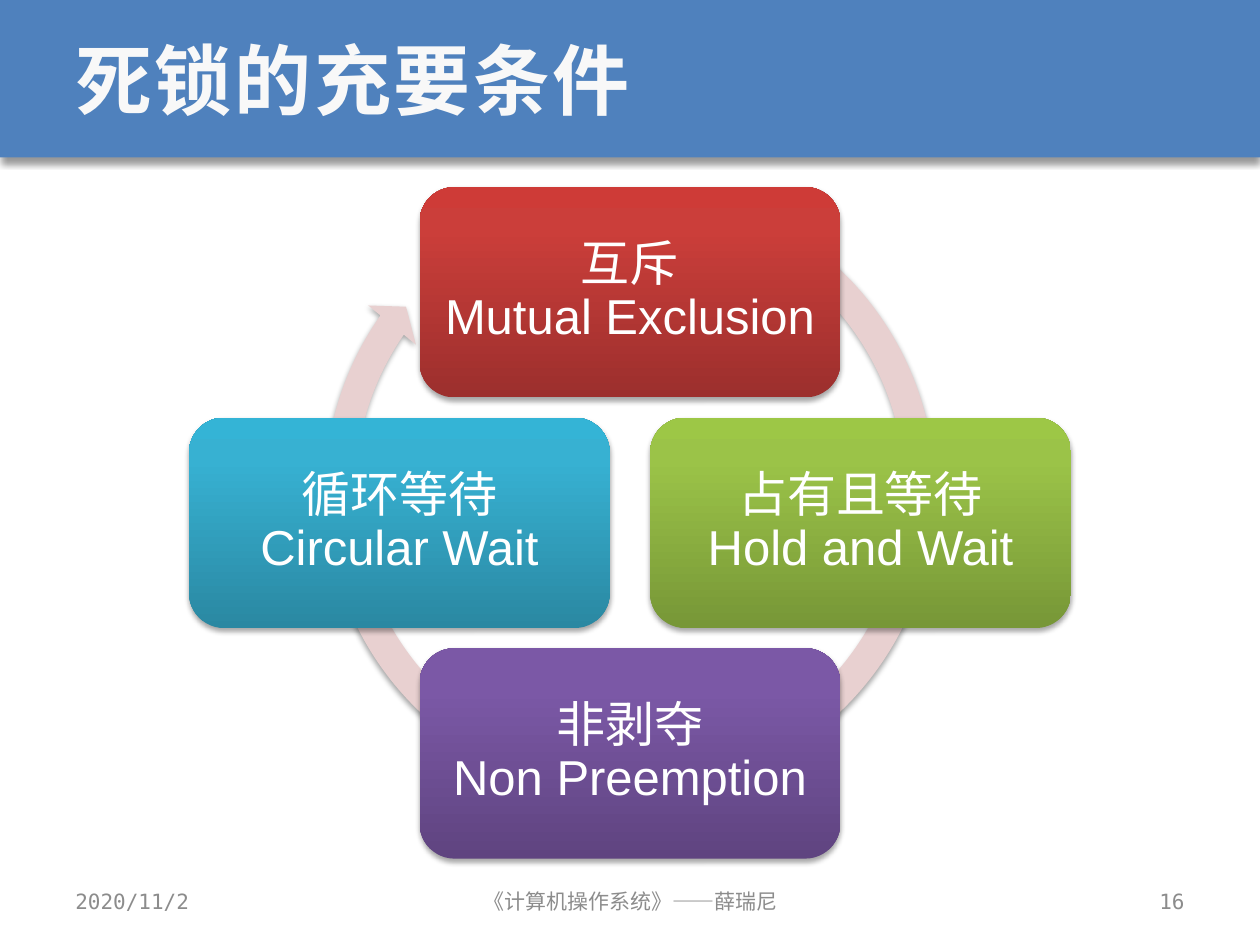
from copy import deepcopy
from dataclasses import dataclass

from lxml import etree
from pptx import Presentation
from pptx import util as u
from pptx.dml.color import RGBColor
from pptx.enum import shapes, text
from pptx.oxml.ns import qn


@dataclass(frozen=True)
class Theme:
    banner: str = "4F81BD"
    title: str = "F8F8F8"
    ring: str = "E8D0D0"
    label: str = "FFFFFF"
    footer: str = "8C8C8C"
    red: tuple = ("9C2F2D", "CB3E3A", "CE3B37")
    green: tuple = ("779737", "9BC348", "9DC746")
    purple: tuple = ("5F4480", "7B58A6", "7C57A8")
    blue: tuple = ("2A88A2", "37B1D2", "34B4D6")
    title_size: int = 44
    label_size: int = 28
    footer_size: int = 12
    sans: str = "Arial"
    mono: str = "DejaVu Sans Mono"


THEME = Theme()
ALIGN = text.PP_ALIGN
SHAPE = shapes.MSO_SHAPE
CYCLE_X, CYCLE_Y, CYCLE_RADIUS = 5, 4.15, 1.83
CARD_WIDTH, CARD_HEIGHT = 3.34, 1.67


def write(shape, content, *, size, color, font, align=ALIGN.LEFT, bold=False,
          spacing=None, line_spacing=None, margin=0.1):
    """Fill a shape with one middle-anchored paragraph; \\v breaks the line."""
    frame = shape.text_frame
    frame.word_wrap = True
    frame.vertical_anchor = text.MSO_ANCHOR.MIDDLE
    frame.margin_left = frame.margin_right = u.Inches(margin)
    paragraph = frame.paragraphs[0]
    paragraph.text = content
    paragraph.alignment = align
    paragraph.line_spacing = line_spacing
    for run in paragraph.runs:
        run.font.size = u.Pt(size)
        run.font.name = font
        run.font.bold = bold
        run.font.color.rgb = RGBColor.from_string(color)
        if spacing:
            run.font._element.set("spc", str(int(spacing * 100)))


def add_text(slide, box, content, **style):
    write(slide.shapes.add_textbox(*map(u.Inches, box)), content, **style)


def add_shadow(shape, opacity, blur, distance):
    shape.shadow.inherit = False
    effects = shape._element.spPr.find(qn("a:effectLst"))
    shadow = etree.SubElement(
        effects, qn("a:outerShdw"), blurRad=str(u.Pt(blur)),
        dist=str(u.Pt(distance)), dir="5400000", rotWithShape="0")
    color = etree.SubElement(shadow, qn("a:srgbClr"), val="000000")
    etree.SubElement(color, qn("a:alpha"), val=str(opacity * 1000))


def add_shape(slide, kind, box, fill=None, shadow=(35, 3.1, 1.8)):
    shape = slide.shapes.add_shape(kind, *map(u.Inches, box))
    shape.line.fill.background()
    if fill:
        shape.fill.solid()
        shape.fill.fore_color.rgb = RGBColor.from_string(fill)
    add_shadow(shape, *shadow)
    return shape


def fill_gradient(shape, colors):
    """Run three colours upwards, with the middle one at 80 %."""
    shape.fill.gradient()
    shape.fill.gradient_angle = 90
    stop_list = shape._element.spPr.find(qn("a:gradFill")).find(qn("a:gsLst"))
    stop_list.insert(1, deepcopy(stop_list[0]))
    for stop, color, position in zip(shape.fill.gradient_stops, colors, (0, 0.8, 1)):
        stop.color.rgb = RGBColor.from_string(color)
        stop.position = position


def add_ring(slide):
    size = 5.09
    box = (CYCLE_X - size / 2, 1.35, size, size)
    ring = add_shape(slide, SHAPE.CIRCULAR_ARROW, box, THEME.ring)
    for index, value in enumerate((0.047, 2.729, 128.918, 179.898, 0.048)):
        ring.adjustments[index] = value


def add_card(slide, direction, content, colors):
    """Place a condition one cycle radius from the centre."""
    across, down = direction
    left = CYCLE_X + across * CYCLE_RADIUS - CARD_WIDTH / 2
    top = CYCLE_Y + down * CYCLE_RADIUS - CARD_HEIGHT / 2
    card = add_shape(slide, SHAPE.ROUNDED_RECTANGLE,
                     (left, top, CARD_WIDTH, CARD_HEIGHT))
    fill_gradient(card, colors)
    write(card, content, size=THEME.label_size, color=THEME.label,
          font=THEME.sans, align=ALIGN.CENTER, line_spacing=0.9)


def add_footer(slide):
    for left, width, content, align in (
        (0.5, 2.33, "2020/11/2", ALIGN.LEFT),
        (3.42, 3.17, "《计算机操作系统》——薛瑞尼", ALIGN.CENTER),
        (7.17, 2.33, "16", ALIGN.RIGHT),
    ):
        add_text(slide, (left, 6.95, width, 0.4), content, align=align,
                 size=THEME.footer_size, color=THEME.footer, font=THEME.mono)


def main():
    presentation = Presentation()
    presentation.slide_width = u.Inches(10)
    presentation.slide_height = u.Inches(7.5)
    slide = presentation.slides.add_slide(presentation.slide_layouts[6])

    add_shape(slide, SHAPE.RECTANGLE, (0, 0, 10, 1.25), THEME.banner, (40, 4, 3))
    add_text(slide, (0.5, 0, 9, 1.25), "死锁的充要条件", size=THEME.title_size,
             color=THEME.title, font=THEME.mono, bold=True, spacing=1.5)
    add_ring(slide)
    for direction, content, colors in (
        ((0, -1), "互斥\vMutual Exclusion", THEME.red),
        ((1, 0), "占有且等待\vHold and Wait", THEME.green),
        ((0, 1), "非剥夺\vNon Preemption", THEME.purple),
        ((-1, 0), "循环等待\vCircular Wait", THEME.blue),
    ):
        add_card(slide, direction, content, colors)
    add_footer(slide)
    presentation.save("out.pptx")


if __name__ == "__main__":
    main()
